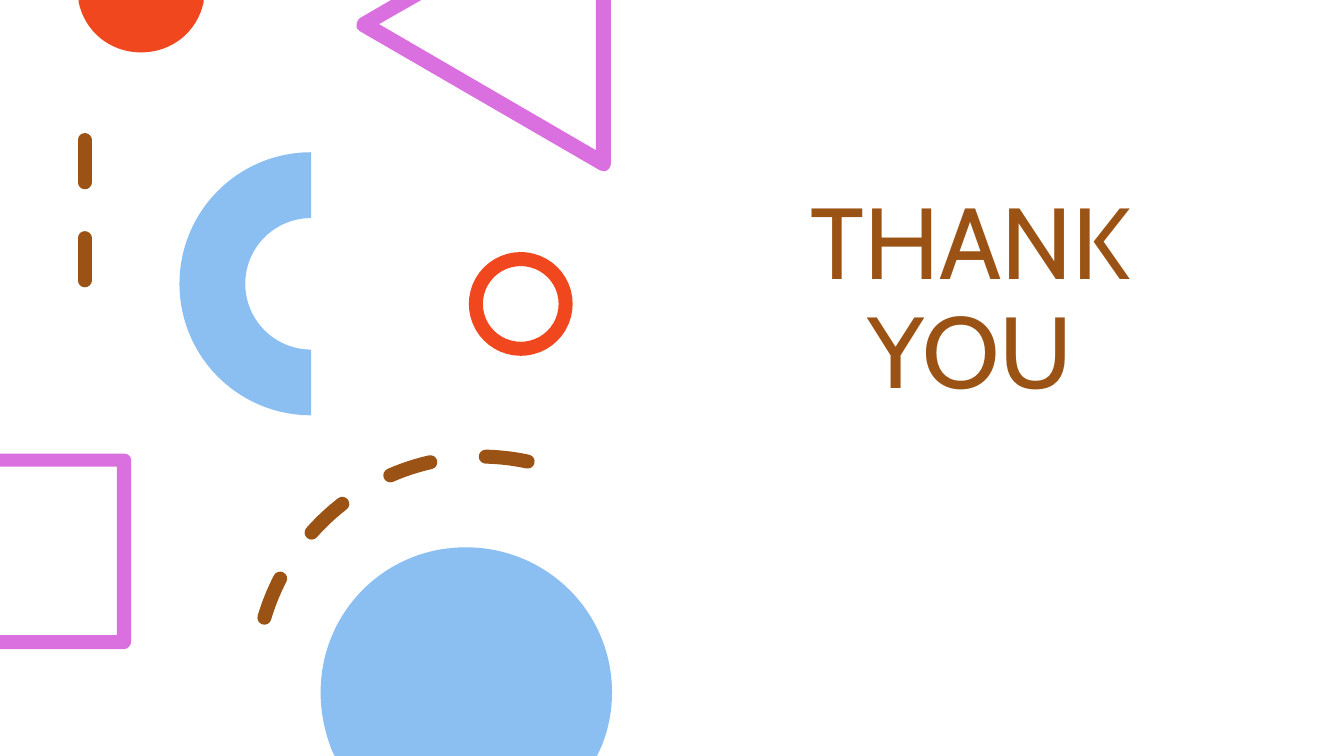
from lxml.etree import SubElement
from pptx import Presentation
from pptx.dml.color import RGBColor
from pptx.enum.dml import MSO_LINE
from pptx.enum.shapes import MSO_CONNECTOR, MSO_SHAPE
from pptx.enum.text import MSO_ANCHOR, MSO_AUTO_SIZE, PP_ALIGN
from pptx.oxml.ns import qn
from pptx.util import Inches, Pt

BROWN, ORANGE, BLUE, PINK = "9A5315", "F1471F", "8BBEF1", "DA6FDF"


def color(value):
    """Turn a hex string into a colour."""
    return RGBColor.from_string(value)


def add_outline(slide, left, top, width, height, steps, fill):
    """Draw a closed outline; a step holds one point for a line, three for a curve."""
    right, bottom = Inches(left + width), Inches(top + height)
    builder = slide.shapes.build_freeform(Inches(left), Inches(top))
    builder.add_line_segments([(right, Inches(top)), (right, bottom), (Inches(left), bottom)])
    shape = builder.convert_to_shape()
    outline = shape._element.find(".//" + qn("a:path"))
    for child in list(outline):
        outline.remove(child)
    for index, step in enumerate(steps):
        tag = "a:moveTo" if index == 0 else "a:lnTo" if len(step) == 2 else "a:cubicBezTo"
        command = SubElement(outline, qn(tag))
        for x, y in zip(step[::2], step[1::2]):
            SubElement(command, qn("a:pt"), x=str(Inches(x)), y=str(Inches(y)))
    SubElement(outline, qn("a:close"))
    shape.shadow.inherit = False
    shape.fill.solid()
    shape.fill.fore_color.rgb = color(fill)
    shape.line.fill.background()


def add_figure(slide, kind, left, top, size, fill=None, line=None):
    """Draw a square-boxed preset shape, either filled or outlined."""
    shape = slide.shapes.add_shape(kind, Inches(left), Inches(top), Inches(size), Inches(size))
    shape.shadow.inherit = False
    if fill:
        shape.fill.solid()
        shape.fill.fore_color.rgb = color(fill)
    else:
        shape.fill.background()
    if line:
        shape.line.color.rgb = color(line)
        shape.line.width = Pt(10)
    else:
        shape.line.fill.background()
    return shape


def mirror(shape):
    """Flip a shape from left to right."""
    shape._element.spPr.get_or_add_xfrm().set("flipH", "1")


def dash_round(shape):
    """Give a line round-capped dashes."""
    shape.line.dash_style = MSO_LINE.DASH
    shape.line._get_or_add_ln().set("cap", "rnd")


def add_top_circle(slide, left, top):
    """Draw the circle cut by the top edge."""
    add_outline(slide, left, top, 1.24, 0.52, [
        (1.24, 0), (0, 0), (0, 0.02),
        (0.06, 0.31, 0.31, 0.52, 0.62, 0.52),
        (0.93, 0.52, 1.18, 0.31, 1.24, 0.02)], ORANGE)


def add_bottom_circle(slide, left, top):
    """Draw the circle cut by the bottom edge."""
    add_outline(slide, left, top, 2.89, 2.07, [
        (1.44, 0), (0.64, 0, 0, 0.64, 0, 1.44),
        (0, 1.64, 0.04, 1.83, 0.11, 2.01),
        (0.14, 2.07), (2.74, 2.07), (2.77, 2.01),
        (2.85, 1.83, 2.89, 1.64, 2.89, 1.44),
        (2.89, 0.64, 2.24, 0, 1.44, 0)], BLUE)


def add_triangle_frame(slide, left, top):
    """Draw the triangular frame that leaves through the top edge."""
    add_outline(slide, left, top, 2.53, 1.7, [
        (2.53, 0), (2.38, 0), (2.38, 1.49), (0.23, 0.24), (0.65, 0), (0.35, 0),
        (0.04, 0.18), (0.01, 0.2, 0, 0.25, 0.01, 0.28),
        (0.02, 0.29, 0.03, 0.3, 0.04, 0.31),
        (2.42, 1.69), (2.43, 1.69, 2.45, 1.7, 2.46, 1.7),
        (2.5, 1.7, 2.53, 1.66, 2.53, 1.62)], PINK)


def add_square_frame(slide, left, top):
    """Draw the square frame that leaves through the left edge."""
    add_outline(slide, left, top, 1.3, 1.94, [
        (1.23, 0), (0, 0), (0, 0.13), (1.16, 0.13), (1.16, 1.8), (0, 1.8),
        (0, 1.94), (1.23, 1.94), (1.27, 1.94, 1.3, 1.9, 1.3, 1.87),
        (1.3, 0.06), (1.3, 0.03, 1.27, 0, 1.23, 0)], PINK)


def add_dashed_line(slide, x, top, length):
    """Draw the upright dashed line."""
    line = slide.shapes.add_connector(
        MSO_CONNECTOR.STRAIGHT, Inches(x), Inches(top), Inches(x), Inches(top + length))
    line.line.color.rgb = color(BROWN)
    line.line.width = Pt(10)
    dash_round(line)
    SubElement(line._element.spPr, qn("a:effectLst"))


def add_dashed_arc(slide, left, top, size):
    """Draw the dashed arc, mirrored and tilted."""
    arc = add_figure(slide, MSO_SHAPE.ARC, left, top, size, line=BROWN)
    arc.rotation = 12.1
    mirror(arc)
    dash_round(arc)


def add_title(slide, left, top, width, height):
    """Place and format the closing title."""
    title = slide.shapes.title
    title.left, title.top = Inches(left), Inches(top)
    title.width, title.height = Inches(width), Inches(height)
    frame = title.text_frame
    frame.word_wrap = True
    frame.auto_size = MSO_AUTO_SIZE.NONE
    frame.vertical_anchor = MSO_ANCHOR.BOTTOM
    paragraph = frame.paragraphs[0]
    paragraph.alignment = PP_ALIGN.CENTER
    paragraph.line_spacing = 0.9
    for text, size in (("THANK", 72), (" ", 60), ("YOU", 72)):
        run = paragraph.add_run()
        run.text = text
        run.font.name, run.font.size = "Cabin", Pt(size)
        run.font.color.rgb = color(BROWN)


def add_decoration(slide):
    """Draw the geometric shapes on the left half."""
    add_top_circle(slide, 0.78, 0)
    add_dashed_line(slide, 0.84, 1.39, 1.75)
    half_ring = add_figure(slide, MSO_SHAPE.BLOCK_ARC, 1.78, 1.51, 2.61, fill=BLUE)
    half_ring.rotation = 270
    add_triangle_frame(slide, 3.53, 0)
    ring = add_figure(slide, MSO_SHAPE.OVAL, 4.72, 2.57, 0.89, line=ORANGE)
    mirror(ring)
    add_square_frame(slide, 0, 4.5)
    add_bottom_circle(slide, 3.18, 5.43)
    add_dashed_arc(slide, 2.53, 4.53, 4.47)


def main():
    """Build and save the presentation."""
    presentation = Presentation()
    presentation.slide_width, presentation.slide_height = Inches(13.33), Inches(7.5)
    slide = presentation.slides.add_slide(presentation.slide_layouts[5])
    slide.background.fill.solid()
    slide.background.fill.fore_color.rgb = color("FFFFFF")
    add_title(slide, 6.92, 1.03, 5.41, 3.09)
    add_decoration(slide)
    presentation.save("out.pptx")


if __name__ == "__main__":
    main()
